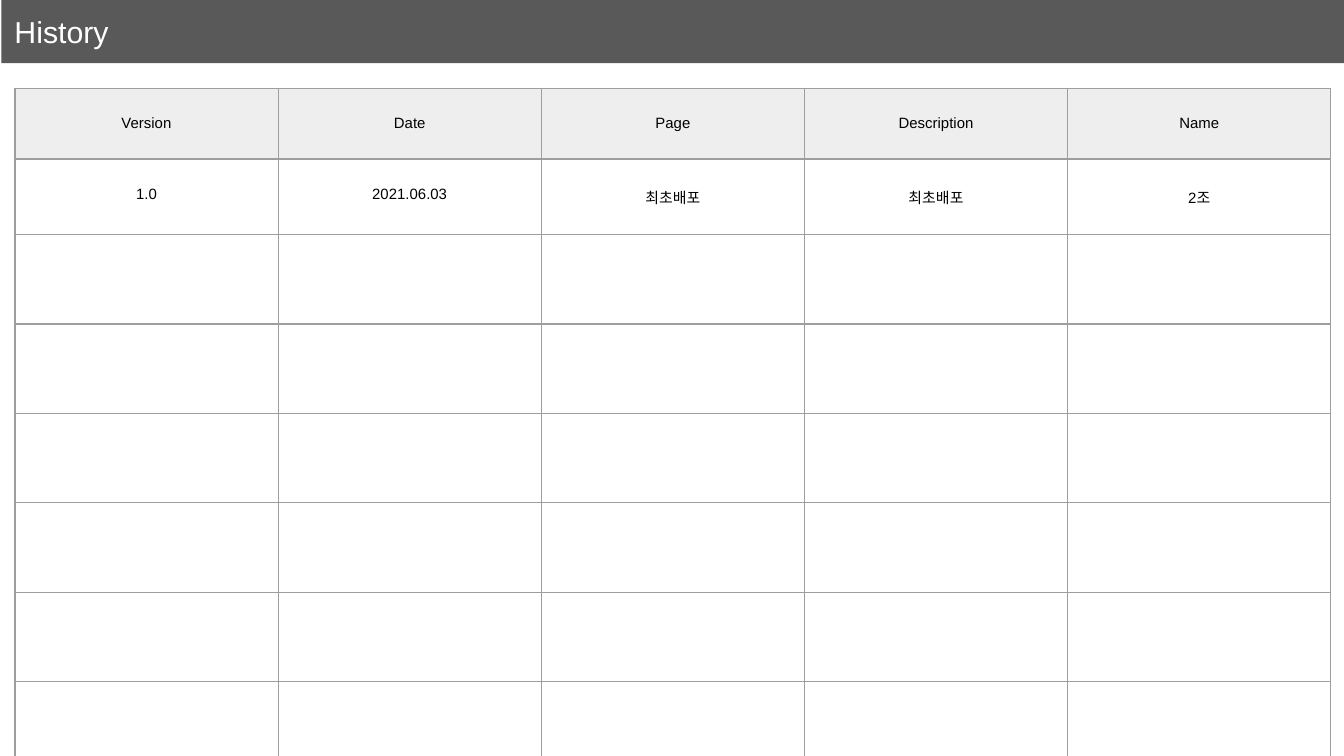
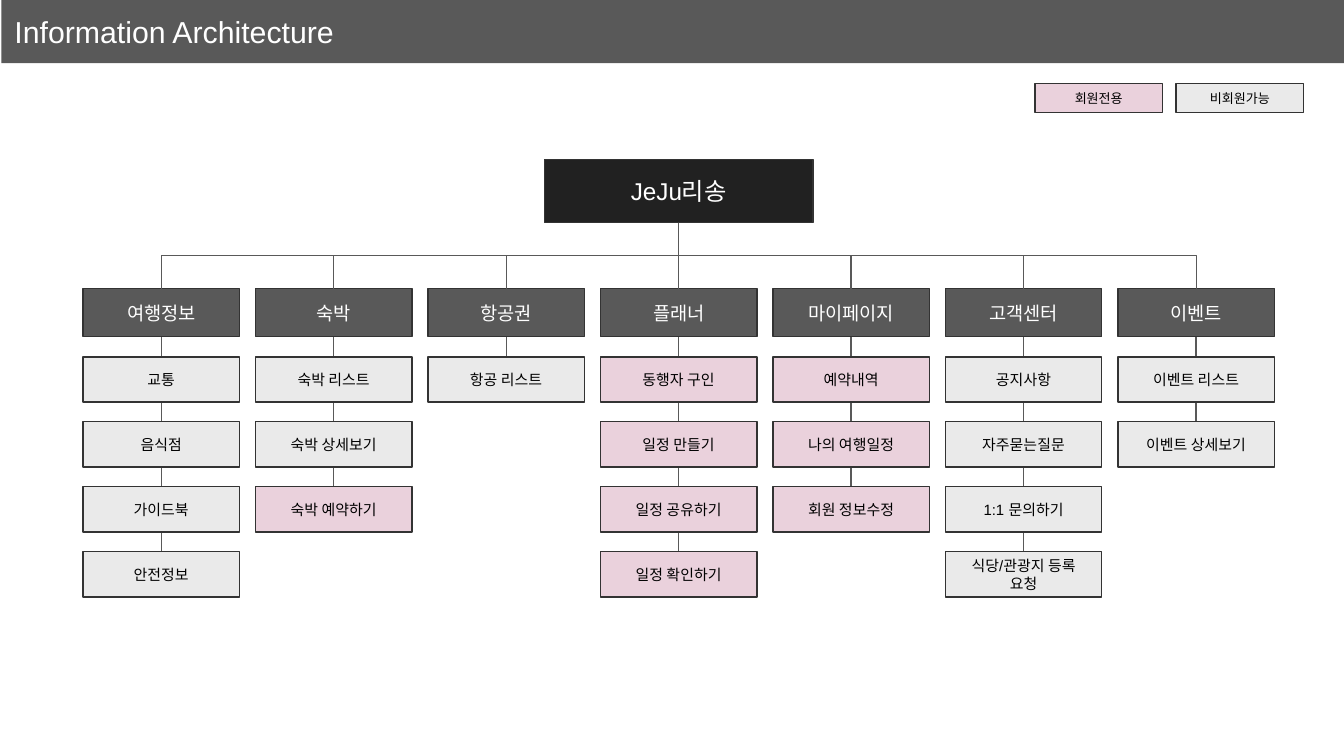
from dataclasses import dataclass

from lxml.etree import SubElement
from pptx import Presentation
from pptx.dml.color import RGBColor as RGB
from pptx.enum.shapes import MSO_CONNECTOR as Link, MSO_SHAPE as Kind
from pptx.enum.text import MSO_ANCHOR as Anchor, PP_ALIGN as Align
from pptx.oxml.ns import qn
from pptx.shapes.connector import Connector
from pptx.slide import Slide
from pptx.table import _Cell as Cell
from pptx.text.text import TextFrame
from pptx.util import Pt

WHITE = RGB(0xFF, 0xFF, 0xFF)
BLACK = RGB(0x00, 0x00, 0x00)
INK = RGB(0x21, 0x21, 0x21)
EDGE = RGB(0x33, 0x33, 0x33)
SLATE = RGB(0x59, 0x59, 0x59)
RULE = RGB(0x9E, 0x9E, 0x9E)
HEAD = RGB(0xEE, 0xEE, 0xEE)
GREY = RGB(0xEA, 0xEA, 0xEA)
PINK = RGB(0xEA, 0xD1, 0xDC)

FONT = "Arial"
THIN = 0.75
INSET = 7.2


@dataclass(frozen=True)
class Box:
    left: float
    top: float
    width: float
    height: float

    @property
    def mid(self) -> float:
        return self.left + self.width / 2

    @property
    def base(self) -> float:
        return self.top + self.height


@dataclass(frozen=True)
class Style:
    fill: RGB
    size: float
    color: RGB = BLACK
    edge: RGB | None = EDGE
    align: Align | None = Align.CENTER
    anchor: Anchor = Anchor.MIDDLE


@dataclass(frozen=True)
class Menu:
    title: str
    open: tuple[str, ...] = ()
    member: tuple[str, ...] = ()


BAND = Style(SLATE, 16.2, WHITE, None, None, Anchor.TOP)
ROOT = Style(INK, 13, WHITE)
TOPIC = Style(SLATE, 10, WHITE)
OPEN = Style(GREY, 8)
MEMBER = Style(PINK, 8)
KEYS = (("회원전용", Style(PINK, 7)), ("비회원가능", Style(GREY, 7)))

ROWS = (
    ("Version", "Date", "Page", "Description", "Name"),
    ("1.0", "2021.06.03", "최초배포", "최초배포", "2조"),
)
ROW_COUNT = 8
COL_W = 141
ROW_H = 26
CELL_PAD = 14.4
EMPTY_SIZE = 17

MENUS = (
    Menu("여행정보", ("교통", "음식점", "가이드북", "안전정보")),
    Menu("숙박", ("숙박 리스트", "숙박 상세보기"), ("숙박 예약하기",)),
    Menu("항공권", ("항공 리스트",)),
    Menu("플래너", (), ("동행자 구인", "일정 만들기", "일정 공유하기", "일정 확인하기")),
    Menu("마이페이지", (), ("예약내역", "나의 여행일정", "회원 정보수정")),
    Menu("고객센터", ("공지사항", "자주묻는질문", "1:1 문의하기", "식당/관광지 등록 요청")),
    Menu("이벤트", ("이벤트 리스트", "이벤트 상세보기")),
)
ROOT_BOX = Box(291.6, 85.4, 144, 33.9)


def topic_box(col: int) -> Box:
    return Box(44.5 + 92.4 * col, 154.6, 83.8, 25.8)


def item_box(col: int, row: int) -> Box:
    return Box(topic_box(col).left, 191.2 + 34.8 * row, 83.8, 24.2)


def write(frame: TextFrame, text: str, size: float, color: RGB, align: Align | None) -> None:
    para = frame.paragraphs[0]
    para.alignment = align
    run = para.add_run()
    run.text = text
    run.font.name = FONT
    run.font.size = Pt(size)
    run.font.color.rgb = color


def add_box(slide: Slide, box: Box, text: str, style: Style) -> None:
    shape = slide.shapes.add_shape(
        Kind.RECTANGLE, Pt(box.left), Pt(box.top), Pt(box.width), Pt(box.height)
    )
    shape.shadow.inherit = False
    shape.fill.solid()
    shape.fill.fore_color.rgb = style.fill
    if style.edge is None:
        shape.line.fill.background()
    else:
        shape.line.color.rgb = style.edge
        shape.line.width = Pt(THIN)
    frame = shape.text_frame
    frame.word_wrap = True
    frame.vertical_anchor = style.anchor
    frame.margin_left = frame.margin_right = Pt(INSET)
    frame.margin_top = frame.margin_bottom = Pt(INSET)
    write(frame, text, style.size, style.color, style.align)


def add_band(slide: Slide, title: str) -> None:
    add_box(slide, Box(0.7, 0, 720, 33.9), title, BAND)


def add_link(slide: Slide, kind: Link, x1: float, y1: float, x2: float, y2: float) -> Connector:
    link = slide.shapes.add_connector(kind, Pt(x1), Pt(y1), Pt(x2), Pt(y2))
    link.line.color.rgb = SLATE
    link.line.width = Pt(THIN)
    SubElement(link._element.spPr, qn("a:effectLst"))
    return link


def add_elbow(slide: Slide, start: Box, end: Box) -> None:
    drop = end.top - start.base
    span = abs(end.mid - start.mid)
    left = (start.mid + end.mid - drop) / 2
    top = (start.base + end.top - span) / 2
    link = add_link(slide, Link.ELBOW, left, top, left + drop, top + span)
    form = link._element.spPr.find(qn("a:xfrm"))
    if end.mid < start.mid:
        form.set("rot", "5400000")
    else:
        form.set("rot", "16200000")
        form.set("flipH", "1")


def add_edges(cell: Cell) -> None:
    props = cell._tc.get_or_add_tcPr()
    for spot, side in enumerate(("a:lnL", "a:lnR", "a:lnT", "a:lnB")):
        line = props.makeelement(qn(side), {"w": str(Pt(THIN))})
        props.insert(spot, line)
        fill = SubElement(line, qn("a:solidFill"))
        SubElement(fill, qn("a:srgbClr"), val=str(RULE))


def set_empty(cell: Cell) -> None:
    para = cell.text_frame.paragraphs[0]._p
    mark = SubElement(para, qn("a:endParaRPr"), sz=str(EMPTY_SIZE * 100))
    SubElement(mark, qn("a:latin"), typeface=FONT)


def fill_cell(cell: Cell, row: int, col: int) -> None:
    cell.margin_left = cell.margin_right = Pt(CELL_PAD)
    cell.margin_top = cell.margin_bottom = Pt(CELL_PAD)
    if row == 0:
        cell.fill.solid()
        cell.fill.fore_color.rgb = HEAD
    else:
        cell.fill.background()
    add_edges(cell)
    if row < len(ROWS):
        write(cell.text_frame, ROWS[row][col], 8, BLACK, Align.CENTER)
    else:
        set_empty(cell)


def draw_log(slide: Slide) -> None:
    add_band(slide, "History")
    cols = len(ROWS[0])
    table = slide.shapes.add_table(
        ROW_COUNT, cols, Pt(8), Pt(47.3), Pt(COL_W * cols), Pt(ROW_H * ROW_COUNT)
    ).table
    table.first_row = False
    table.horz_banding = False
    for row in range(ROW_COUNT):
        for col in range(cols):
            fill_cell(table.cell(row, col), row, col)


def draw_map(slide: Slide) -> None:
    for col, menu in enumerate(MENUS):
        topic = topic_box(col)
        last = item_box(col, len(menu.open + menu.member) - 1)
        end = max(last.top, item_box(col, 0).base)
        add_link(slide, Link.STRAIGHT, topic.mid, topic.base, topic.mid, end)
    add_band(slide, "Information Architecture")
    add_box(slide, ROOT_BOX, "JeJu리송", ROOT)
    for col, menu in enumerate(MENUS):
        add_box(slide, topic_box(col), menu.title, TOPIC)
        for row, text in enumerate(menu.open + menu.member):
            style = OPEN if row < len(menu.open) else MEMBER
            add_box(slide, item_box(col, row), text, style)
    for col in range(len(MENUS)):
        add_elbow(slide, ROOT_BOX, topic_box(col))
    for spot, (text, style) in enumerate(KEYS):
        add_box(slide, Box(554.4 + 75.6 * spot, 44.6, 68.4, 15.8), text, style)


def main() -> None:
    deck = Presentation()
    deck.slide_width = Pt(720)
    deck.slide_height = Pt(405)
    blank = deck.slide_layouts[6]
    for draw in (draw_log, draw_map):
        draw(deck.slides.add_slide(blank))
    deck.save("out.pptx")


if __name__ == "__main__":
    main()
